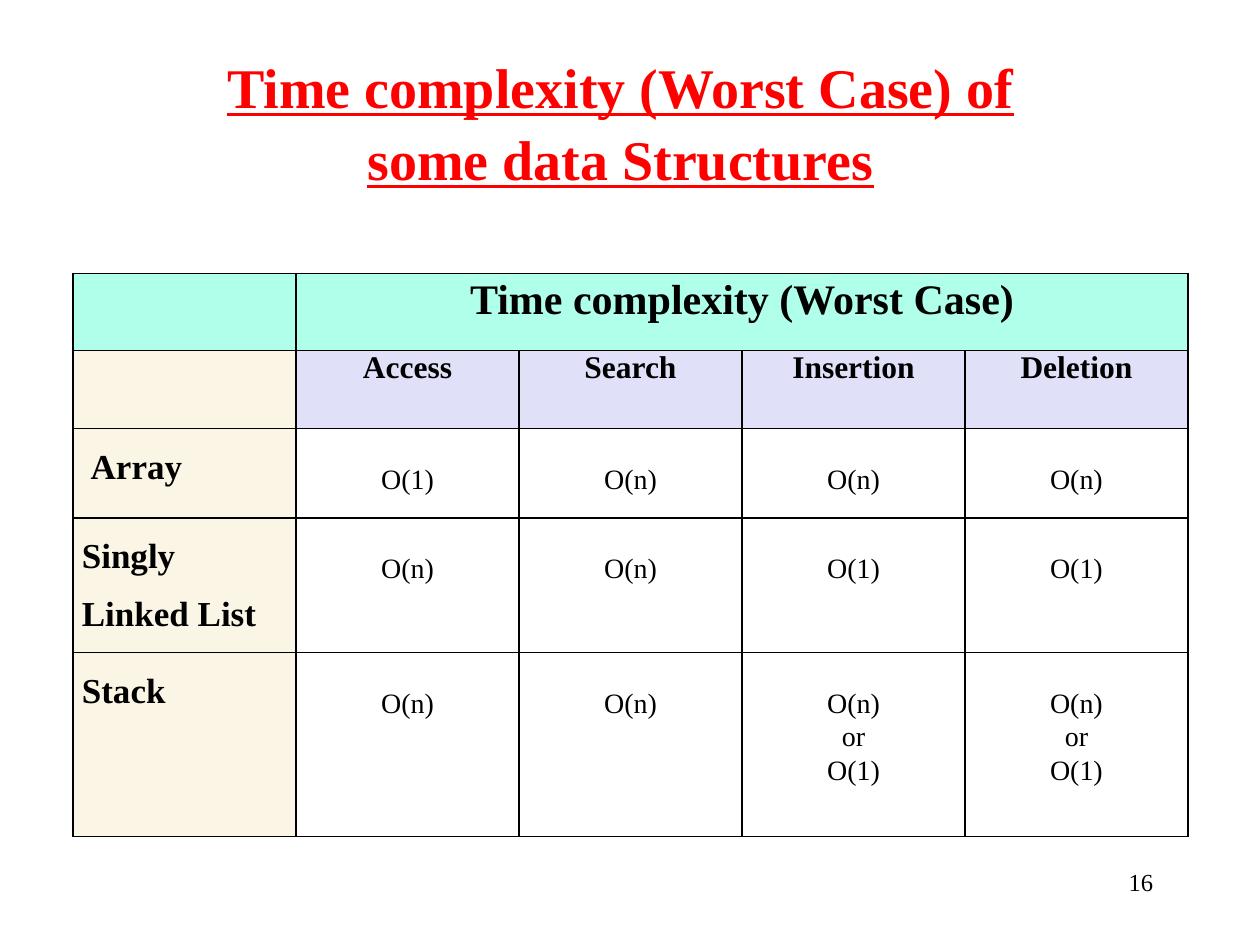
from dataclasses import dataclass

from lxml import etree
from pptx import Presentation
from pptx.dml.color import RGBColor
from pptx.enum.text import MSO_ANCHOR, PP_ALIGN
from pptx.oxml.ns import qn
from pptx.slide import Slide
from pptx.util import Inches, Pt

LEFT, MID, RIGHT = PP_ALIGN.LEFT, PP_ALIGN.CENTER, PP_ALIGN.RIGHT
TOP, CENTER = MSO_ANCHOR.TOP, MSO_ANCHOR.MIDDLE
COLORS = {"title": "FF0000", "ink": "000000", "head": "AFFFEA",
          "side": "FBF5E5", "ops": "E0E0F8"}
OPS = ["Access", "Search", "Insertion", "Deletion"]
COSTS = {
    "Array": ["O(1)", "O(n)", "O(n)", "O(n)"],
    "Singly Linked List": ["O(n)", "O(n)", "O(1)", "O(1)"],
    "Stack": ["O(n)", "O(n)", "O(n)\nor\nO(1)", "O(n)\nor\nO(1)"],
}
HEIGHTS = [0.61, 0.62, 0.71, 1.07, 1.46]
WIDTH = 1.77


@dataclass
class Deck:
    """Hold the style and the slide being built."""
    slide: Slide
    font: str = "Times New Roman"

    def words(self, frame, text, size, align=MID, bold=False, line=1.0,
              color="ink", under=False):
        for i, part in enumerate(text.split("\n")):
            para = frame.add_paragraph() if i else frame.paragraphs[0]
            para.alignment, para.line_spacing = align, line
            run = para.add_run()
            run.text = part
            font = run.font
            font.name, font.size = self.font, Pt(size)
            font.bold, font.underline = bold, under
            font.color.rgb = RGBColor.from_string(COLORS[color])

    def text(self, box, text, size, anchor=TOP, **style):
        frame = self.slide.shapes.add_textbox(*map(Inches, box)).text_frame
        frame.word_wrap = True
        frame.vertical_anchor = anchor
        self.words(frame, text, size, **style)

    def table(self, left, top, width, heights, cols):
        frame = self.slide.shapes.add_table(
            len(heights), cols, Inches(left), Inches(top),
            Inches(width * cols), Inches(sum(heights)))
        grid = frame.table
        for col in grid.columns:
            col.width = Inches(width)
        for row, height in zip(grid.rows, heights):
            row.height = Inches(height)
        for cell in grid.iter_cells():
            self.border(cell)
            cell.fill.background()
        return grid

    def border(self, cell):
        props = cell._tc.get_or_add_tcPr()
        for side in ("a:lnL", "a:lnR", "a:lnT", "a:lnB"):
            line = etree.SubElement(props, qn(side), w=str(Pt(1)))
            fill = etree.SubElement(line, qn("a:solidFill"))
            etree.SubElement(fill, qn("a:srgbClr"), val=COLORS["ink"])

    def cell(self, cell, text="", size=18, fill=None, left=0.07, top=0, **style):
        cell.margin_left, cell.margin_right = Inches(left), Inches(0.07)
        cell.margin_top, cell.margin_bottom = Inches(top), 0
        if fill:
            cell.fill.solid()
            cell.fill.fore_color.rgb = RGBColor.from_string(COLORS[fill])
        if text:
            self.words(cell.text_frame, text, size, **style)


def main():
    prs = Presentation()
    prs.slide_width, prs.slide_height = Inches(10), Inches(7.5)
    deck = Deck(prs.slides.add_slide(prs.slide_layouts[6]))
    deck.text((1.17, 0.5, 7.51, 0.9),
              "Time complexity (Worst Case) of some data Structures", 32,
              anchor=CENTER, bold=True, line=1.07, color="title", under=True)
    deck.text((7.17, 6.83, 2.08, 0.5), "16", 14, align=RIGHT)

    grid = deck.table(0.58, 2.17, WIDTH, HEIGHTS, len(OPS) + 1)
    grid.cell(0, 1).merge(grid.cell(0, len(OPS)))
    deck.cell(grid.cell(0, 0), fill="head")
    deck.cell(grid.cell(0, 1), "Time complexity (Worst Case)", 24, "head",
              bold=True, line=1.07)
    deck.cell(grid.cell(1, 0), fill="side")
    for col, name in enumerate(OPS, 1):
        deck.cell(grid.cell(1, col), name, 18, "ops", bold=True)
    for row, (name, costs) in enumerate(COSTS.items(), 2):
        deck.cell(grid.cell(row, 0), name, 20, "side", bold=True, align=LEFT,
                  line=1.5, left=0.14 if name == "Array" else 0.07)
        for col, cost in enumerate(costs, 1):
            deck.cell(grid.cell(row, col), cost, 16, top=0.27, line=1.07)
    prs.save("out.pptx")


if __name__ == "__main__":
    main()
